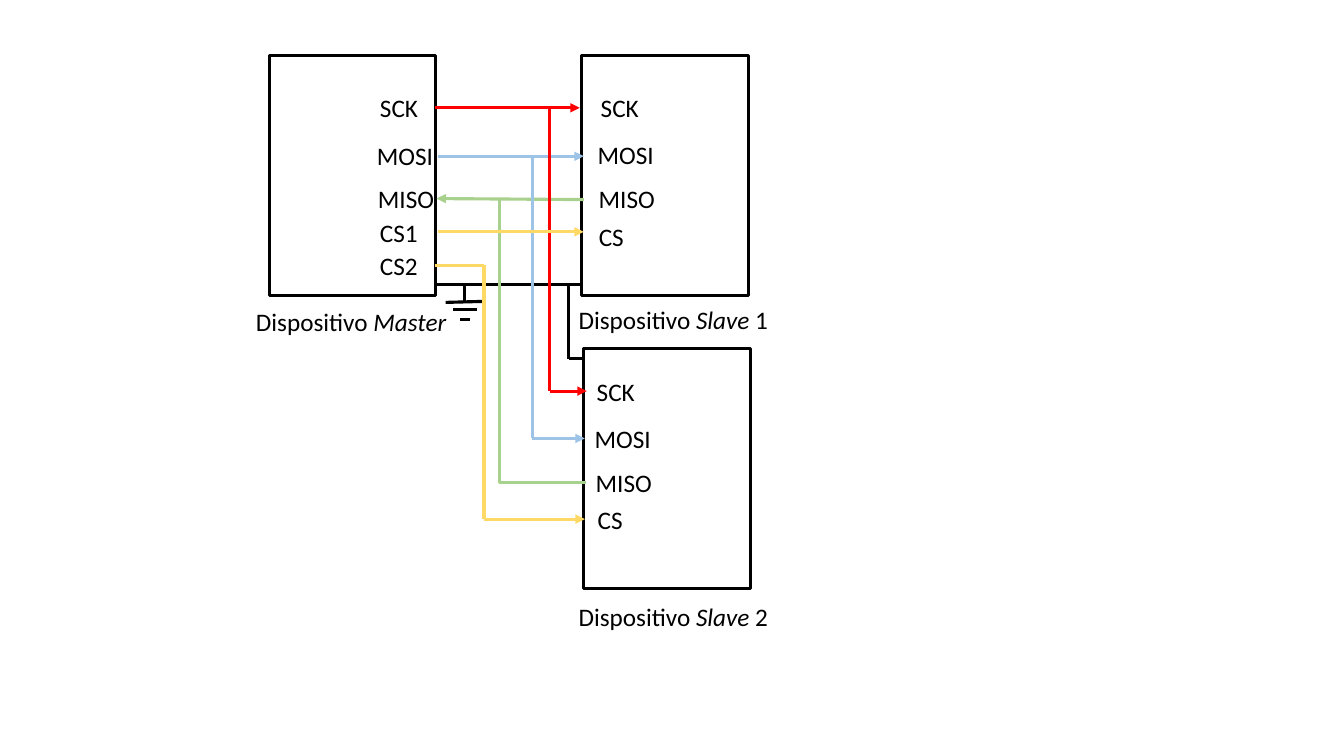
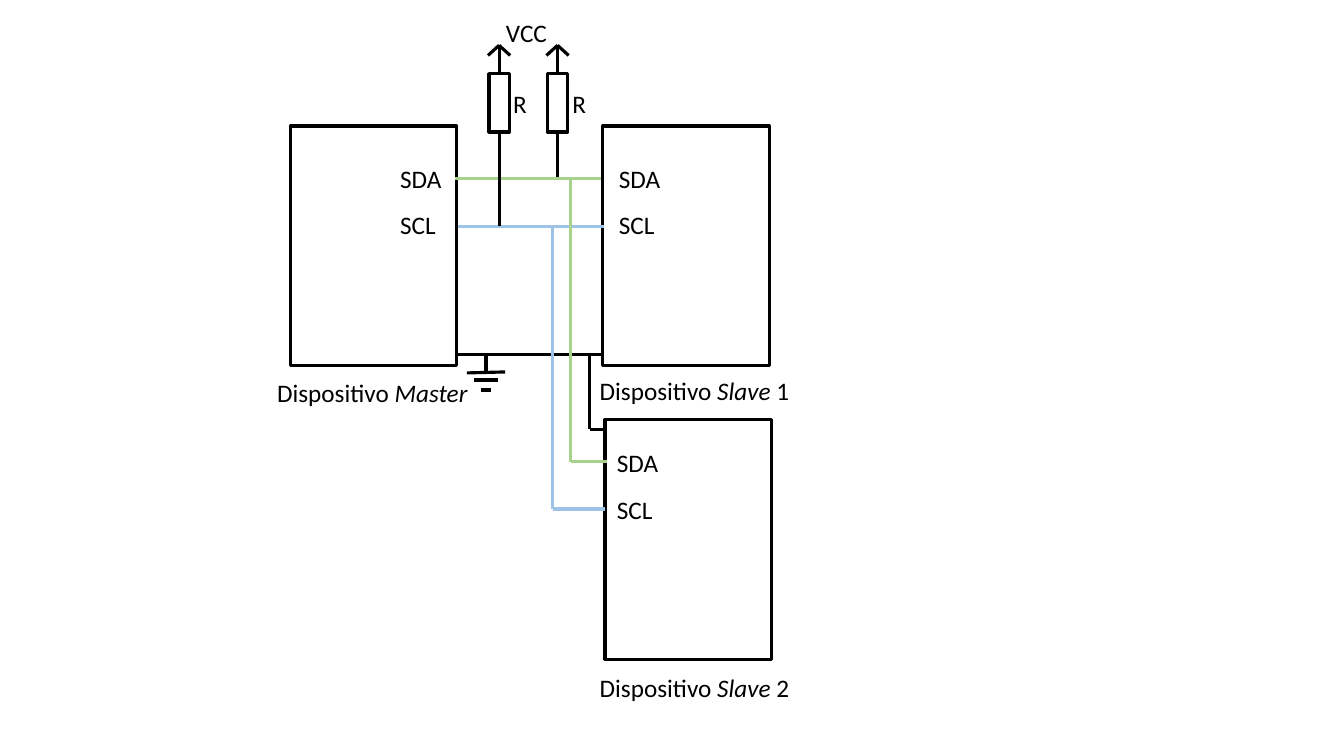
from itertools import pairwise

from lxml import etree
from pptx import Presentation
from pptx import util as u
from pptx.dml.color import RGBColor
from pptx.enum import shapes, text
from pptx.oxml.ns import qn

COLORS = {
    "ink": "000000",
    "paper": "FFFFFF",
    "red": "FF0000",
    "green": "A9D18E",
    "blue": "9DC3E6",
    "yellow": "FFD966",
}
LINE_WIDTH = u.Pt(2.25)
FONT = {"name": "Calibri", "size": u.Pt(18)}
FRAME = {
    "word_wrap": False,
    "auto_size": text.MSO_AUTO_SIZE.SHAPE_TO_FIT_TEXT,
    "vertical_anchor": text.MSO_ANCHOR.TOP,
}
DEVICE_W, DEVICE_H = 1.65, 2.38
LABEL_H = 0.4
LABEL_W = {
    "SCK": 0.58, "MOSI": 0.76, "MISO": 0.76, "CS": 0.45, "CS1": 0.58,
    "CS2": 0.58, "SDA": 0.62, "SCL": 0.56, "VCC": 0.61, "R": 0.34,
}


def rgb(name):
    return RGBColor.from_string(COLORS[name])


def apply(target, values):
    for key, value in values.items():
        setattr(target, key, value)


def add_box(s, x, y, w, h):
    sp = s.shapes.add_shape(
        shapes.MSO_SHAPE.RECTANGLE, *map(u.Inches, (x, y, w, h)))
    sp.shadow.inherit = False
    sp.fill.solid()
    sp.fill.fore_color.rgb = rgb("paper")
    sp.line.color.rgb = rgb("ink")
    sp.line.width = LINE_WIDTH


def add_text(s, x, y, w, runs):
    tb = s.shapes.add_textbox(*map(u.Inches, (x, y, w, LABEL_H)))
    tf = tb.text_frame
    apply(tf, FRAME)
    p = tf.paragraphs[0]
    for content, italic in runs:
        r = p.add_run()
        r.text = content
        apply(r.font, {**FONT, "italic": italic})
        r.font.color.rgb = rgb("ink")


def add_label(s, name, x, y):
    add_text(s, x, y, LABEL_W[name], [(name, False)])


def add_caption(s, x, y, role, number=""):
    runs = [("Dispositivo ", False), (role, True)]
    if number:
        runs.append((f" {number}", False))
    add_text(s, x, y, 2.1, runs)


def add_wire(s, color, *points, arrow=False):
    for start, end in pairwise(points):
        cn = s.shapes.add_connector(
            shapes.MSO_CONNECTOR.STRAIGHT, *map(u.Inches, start + end))
        cn.line.color.rgb = rgb(color)
        cn.line.width = LINE_WIDTH
        sp_pr = cn._element.spPr
        etree.SubElement(sp_pr, qn("a:effectLst"))
        if arrow and end == points[-1]:
            etree.SubElement(sp_pr.find(qn("a:ln")), qn("a:tailEnd"),
                             type="triangle")


def add_ground(s, x, y):
    add_wire(s, "ink", (x, y), (x, y + 0.17))
    for half, drop, tilt in ((0.19, 0.17, 0.01), (0.12, 0.25, 0), (0.05, 0.35, 0)):
        add_wire(s, "ink", (x + half, y + drop), (x - half, y + drop + tilt))


def add_devices(s, x, y):
    for dx, dy in ((0, 0), (3.1, 0), (3.12, 2.91)):
        add_box(s, x + dx, y + dy, DEVICE_W, DEVICE_H)
    add_caption(s, x - 0.23, y + 2.44, "Master")
    add_caption(s, x + 2.97, y + 2.42, "Slave", 1)
    add_caption(s, x + 2.97, y + 5.37, "Slave", 2)
    bus = y + 2.27
    add_wire(s, "ink", (x + DEVICE_W, bus), (x + 3.1, bus))
    add_wire(s, "ink", (x + 2.97, bus), (x + 2.97, y + 3.01), (x + 3.12, y + 3.01))
    add_ground(s, x + 1.94, bus)


def add_pull_up(s, x, y, wire_end, label_x):
    add_box(s, x - 0.1, y, 0.2, 0.58)
    add_wire(s, "ink", (x, y), (x, y - 0.28))
    add_wire(s, "ink", (x - 0.11, y - 0.18), (x, y - 0.28), (x + 0.11, y - 0.18))
    add_wire(s, "ink", (x, y + 0.58), (x, wire_end))
    add_label(s, "R", label_x, 0.83)


def build_spi(s):
    add_devices(s, 2.67, 0.55)
    pins = [
        ("SCK", 3.67, 0.87), ("MOSI", 3.64, 1.34), ("MISO", 3.65, 1.77),
        ("CS1", 3.67, 2.11), ("CS2", 3.67, 2.43),
        ("SCK", 5.86, 0.87), ("MOSI", 5.83, 1.33), ("MISO", 5.84, 1.77),
        ("CS", 5.84, 2.15),
        ("SCK", 5.82, 3.68), ("MOSI", 5.8, 4.15), ("MISO", 5.81, 4.59),
        ("CS", 5.83, 4.95),
    ]
    for pin in pins:
        add_label(s, *pin)
    wires = [
        ("red", True, (4.31, 1.07), (5.75, 1.07)),
        ("green", True, (5.79, 1.98), (4.33, 1.97)),
        ("blue", True, (4.34, 1.55), (5.79, 1.55)),
        ("green", False, (4.95, 1.97), (4.95, 4.79), (5.81, 4.79)),
        ("blue", True, (5.28, 1.55), (5.28, 4.35), (5.8, 4.35)),
        ("red", True, (5.45, 1.07), (5.45, 3.88), (5.82, 3.88)),
        ("yellow", True, (4.34, 2.3), (5.79, 2.3)),
        ("yellow", True, (4.31, 2.63), (4.8, 2.63), (4.8, 5.15), (5.8, 5.15)),
    ]
    for color, arrow, *points in wires:
        add_wire(s, color, *points, arrow=arrow)


def build_i2c(s):
    add_devices(s, 2.88, 1.25)
    for x, y in ((3.87, 1.57), (6.04, 1.57), (6.02, 4.39)):
        add_label(s, "SDA", x, y)
        add_label(s, "SCL", x, y + 0.46)
    wires = [
        ("green", (4.51, 1.77), (5.96, 1.77)),
        ("blue", (4.54, 2.25), (5.99, 2.25)),
        ("blue", (5.48, 2.25), (5.48, 5.05), (6, 5.05)),
        ("green", (5.66, 1.77), (5.66, 4.58), (6.02, 4.58)),
    ]
    for color, *points in wires:
        add_wire(s, color, *points)
    add_pull_up(s, 4.95, 0.73, 2.24, 4.99)
    add_pull_up(s, 5.53, 0.73, 1.76, 5.58)
    add_label(s, "VCC", 4.92, 0.12)


def main():
    prs = Presentation()
    prs.slide_width, prs.slide_height = u.Inches(13.33), u.Inches(7.5)
    for build in (build_spi, build_i2c):
        build(prs.slides.add_slide(prs.slide_layouts[6]))
    prs.save("out.pptx")


if __name__ == "__main__":
    main()
